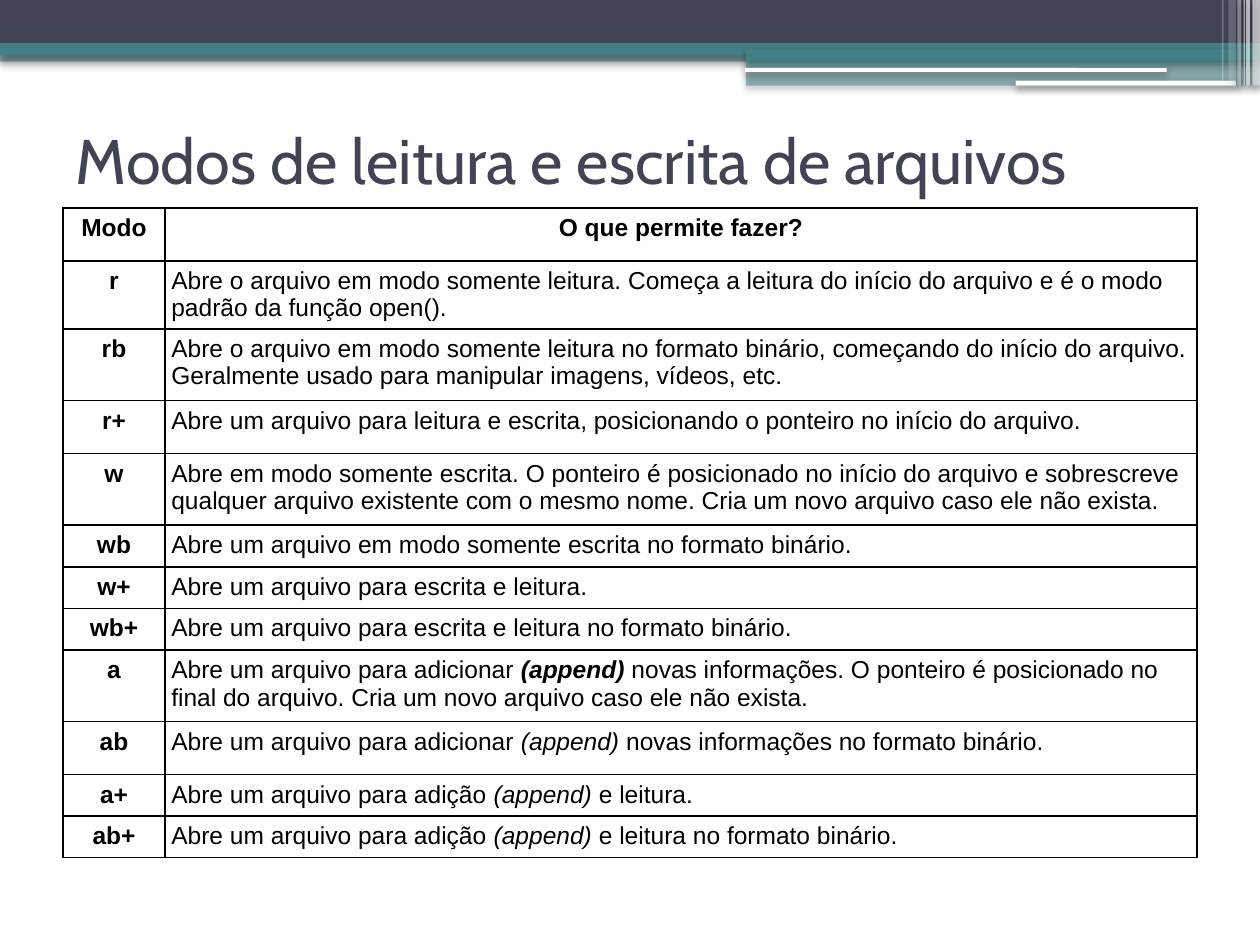
"""Build a slide that lists the file opening modes in a bordered table."""

from typing import NamedTuple

from pptx import Presentation
from pptx.dml.color import RGBColor
from pptx.enum.shapes import MSO_SHAPE as Preset
from pptx.enum.text import MSO_ANCHOR as Anchor, PP_ALIGN as Align
from pptx.oxml import parse_xml
from pptx.oxml.ns import nsdecls, qn
from pptx.util import Inches, Pt

COLORS = {"navy": "424456", "teal": "438086", "white": "FFFFFF", "black": "000000"}


class Bar(NamedTuple):
    left: float
    top: float
    width: float
    height: float
    color: str
    opacity: int = 100
    preset: Preset = Preset.RECTANGLE


class Span(NamedTuple):
    text: str
    bold: bool = False
    italic: bool = False


class Mode(NamedTuple):
    name: str
    height: float
    spans: tuple[Span, ...]


BARS = [
    Bar(0, 0.4, 10, 0.09, "teal", 50),
    Bar(0, 0, 10, 0.34, "navy"),
    Bar(0, 0.34, 10, 0.1, "teal"),
    Bar(5.92, 0.39, 4.08, 0.1, "teal"),
    Bar(5.92, 0.48, 4.08, 0.2, "teal", 50),
    Bar(5.91, 0.54, 3.35, 0.03, "white", preset=Preset.ROUNDED_RECTANGLE),
    Bar(8.06, 0.64, 1.75, 0.04, "white", preset=Preset.ROUNDED_RECTANGLE),
    Bar(9.94, 0, 0.06, 0.68, "white", 65),
    Bar(9.89, 0, 0.03, 0.68, "white", 65),
    Bar(9.87, 0, 0.01, 0.68, "white", 60),
    Bar(9.82, 0, 0.03, 0.68, "white", 40),
    Bar(9.75, 0, 0.06, 0.64, "white", 20),
    Bar(9.7, 0, 0.01, 0.64, "white", 30),
]

APPEND = Span("(append)", italic=True)
SHORT, MEDIUM, TALL = 0.33, 0.42, 0.57
COLUMN_WIDTHS = (0.81, 8.19)

MODES = [
    Mode("r", 0.54, (Span(
        "Abre o arquivo em modo somente leitura. Começa a leitura do início do "
        "arquivo e é o modo padrão da função open()."),)),
    Mode("rb", TALL, (Span(
        "Abre o arquivo em modo somente leitura no formato binário, começando do "
        "início do arquivo. Geralmente usado para manipular imagens, vídeos, etc."),)),
    Mode("r+", MEDIUM, (Span(
        "Abre um arquivo para leitura e escrita, posicionando o ponteiro no início "
        "do arquivo."),)),
    Mode("w", TALL, (Span(
        "Abre em modo somente escrita. O ponteiro é posicionado no início do arquivo "
        "e sobrescreve qualquer arquivo existente com o mesmo nome. Cria um novo "
        "arquivo caso ele não exista."),)),
    Mode("wb", SHORT, (Span(
        "Abre um arquivo em modo somente escrita no formato binário."),)),
    Mode("w+", SHORT, (Span("Abre um arquivo para escrita e leitura."),)),
    Mode("wb+", SHORT, (Span(
        "Abre um arquivo para escrita e leitura no formato binário."),)),
    Mode("a", TALL, (
        Span("Abre um arquivo para adicionar "),
        APPEND._replace(bold=True),
        Span(" novas informações. O ponteiro é posicionado no final do arquivo. "
             "Cria um novo arquivo caso ele não exista."))),
    Mode("ab", MEDIUM, (
        Span("Abre um arquivo para adicionar "), APPEND,
        Span(" novas informações no formato binário."))),
    Mode("a+", SHORT, (
        Span("Abre um arquivo para adição "), APPEND, Span(" e leitura."))),
    Mode("ab+", SHORT, (
        Span("Abre um arquivo para adição "), APPEND,
        Span(" e leitura no formato binário."))),
]


def rgb(name: str) -> RGBColor:
    return RGBColor.from_string(COLORS[name])


def set_format(target, values: dict) -> None:
    for name, value in values.items():
        setattr(target, name, value)


def draw_bar(slide, bar: Bar) -> None:
    box = slide.shapes.add_shape(bar.preset, *map(Inches, bar[:4]))
    box.fill.solid()
    box.fill.fore_color.rgb = rgb(bar.color)
    box.line.fill.background()
    box.shadow.inherit = False
    properties = box._element.spPr
    if bar.opacity < 100:
        color = properties.find(qn("a:solidFill"))[0]
        color.append(parse_xml(
            f'<a:alpha {nsdecls("a")} val="{bar.opacity * 1000}"/>'))
    properties.find(qn("a:effectLst")).append(parse_xml(
        f'<a:outerShdw {nsdecls("a")} blurRad="{Pt(4.1)}" dist="{Pt(2)}" '
        f'dir="5400000" algn="ctr" rotWithShape="0"><a:srgbClr val="{COLORS["black"]}">'
        '<a:alpha val="40000"/></a:srgbClr></a:outerShdw>'))


def write_title(slide, text: str) -> None:
    title = slide.shapes.title
    set_format(title, {"left": Inches(0.5), "top": Inches(0.68),
                       "width": Inches(9), "height": Inches(1.17)})
    frame = title.text_frame
    set_format(frame, {"text": text, "vertical_anchor": Anchor.MIDDLE,
                       "word_wrap": True})
    para = frame.paragraphs[0]
    para.alignment = Align.LEFT
    font = para.runs[0].font
    set_format(font, {"name": "Cabin", "size": Pt(36)})
    font.color.rgb = rgb("navy")


def add_borders(cell) -> None:
    properties = cell._tc.get_or_add_tcPr()
    for index, side in enumerate(("lnL", "lnR", "lnT", "lnB")):
        properties.insert(index, parse_xml(
            f'<a:{side} {nsdecls("a")} w="{Pt(0.96)}"><a:solidFill>'
            f'<a:srgbClr val="{COLORS["black"]}"/></a:solidFill></a:{side}>'))


def write_cell(cell, spans: tuple[Span, ...], alignment: Align) -> None:
    margins = ("margin_left", "margin_top", "margin_right", "margin_bottom")
    set_format(cell, dict.fromkeys(margins, Inches(0.05)))
    cell.fill.background()
    add_borders(cell)
    para = cell.text_frame.paragraphs[0]
    para.alignment = alignment
    for span in spans:
        run = para.add_run()
        run.text = span.text
        set_format(run.font, {"name": "Arial", "size": Pt(14),
                              "bold": span.bold, "italic": span.italic})
        run.font.color.rgb = rgb("black")


def draw_table(slide, modes: list[Mode]) -> None:
    heading = Mode("Modo", MEDIUM, (Span("O que permite fazer?", bold=True),))
    rows = [heading, *modes]
    table = slide.shapes.add_table(
        len(rows), len(COLUMN_WIDTHS), Inches(0.5), Inches(1.65),
        Inches(sum(COLUMN_WIDTHS)), Inches(sum(row.height for row in rows))).table
    set_format(table, {"first_row": False, "horz_banding": False})
    for column, width in zip(table.columns, COLUMN_WIDTHS):
        column.width = Inches(width)
    for index, mode in enumerate(rows):
        table.rows[index].height = Inches(mode.height)
        write_cell(table.cell(index, 0), (Span(mode.name, bold=True),), Align.CENTER)
        write_cell(table.cell(index, 1), mode.spans,
                   Align.LEFT if index else Align.CENTER)


def main() -> None:
    deck = Presentation()
    set_format(deck, {"slide_width": Inches(10), "slide_height": Inches(7.5)})
    page = deck.slides.add_slide(deck.slide_layouts[5])
    for bar in BARS:
        draw_bar(page, bar)
    write_title(page, "Modos de leitura e escrita de arquivos")
    draw_table(page, MODES)
    deck.save("out.pptx")


if __name__ == "__main__":
    main()
